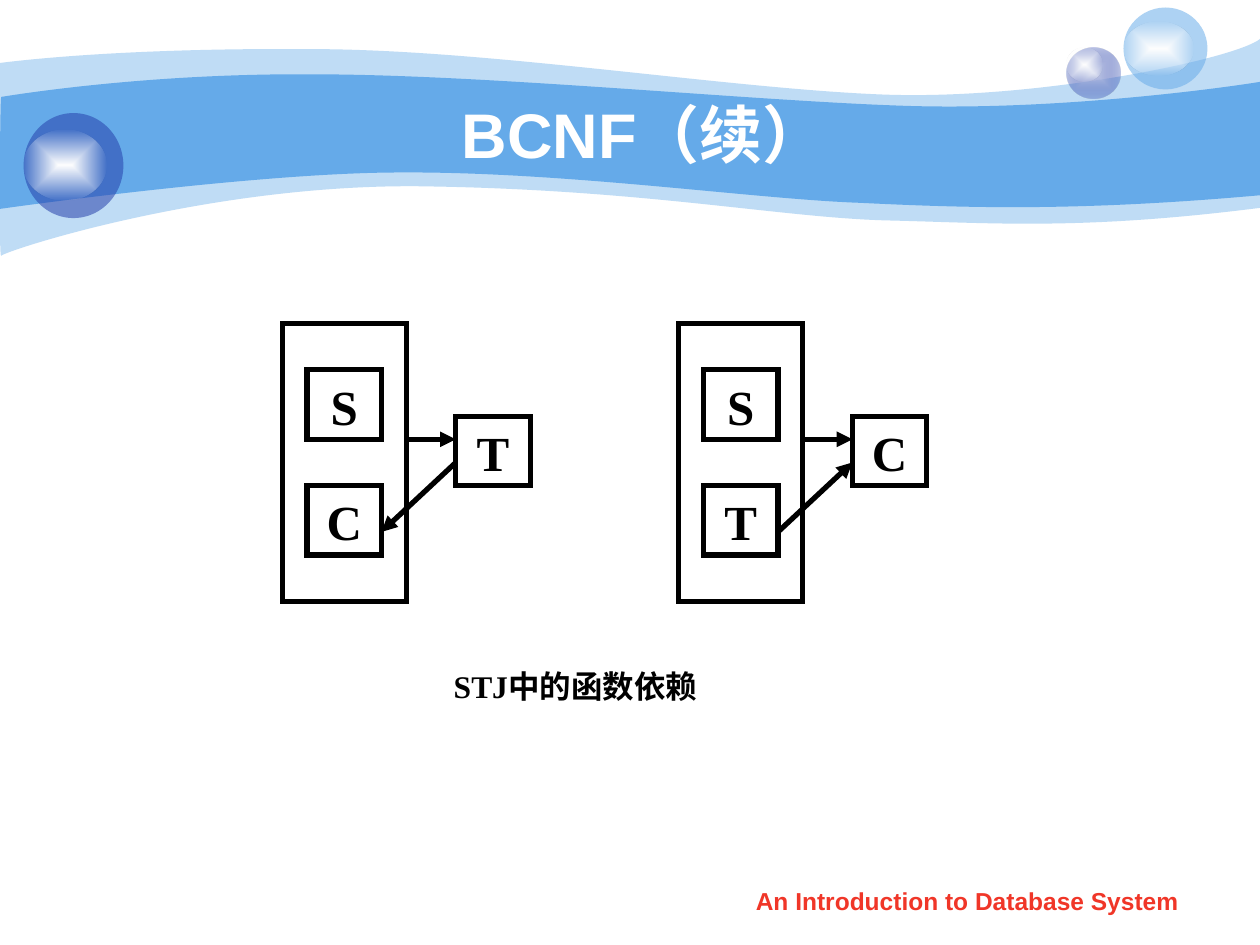
from lxml import etree
from pptx import Presentation
from pptx.dml.color import RGBColor
from pptx.enum import shapes, text
from pptx.oxml import ns, parse_xml
from pptx.util import Pt

TITLE = " BCNF（续）"
FOOTER = "An Introduction to Database System"
CAPTION = "STJ中的函数依赖"

# Waves: start, fill, opacity, then segments (one point: straight; three: Bezier curve)
WAVES = [
    ((0, 36), "65AAE9", 41, [
        [(17.3, 33.8), (77, 27.4), (177.8, 28.1)], [(277.9, 28.1), (414, 50.4), (503.3, 54)],
        [(591.8, 57.6), (705.6, 33.8), (720, 22.3)], [(720, 118.8)],
        [(617.8, 131.8), (566.6, 127.4), (507.6, 126)],
        [(447.8, 124.6), (370.8, 108.7), (247, 106.6)],
        [(123.8, 103.7), (2.9, 143.3), (0.7, 146.2)], [(-0.7, 149.8), (0, 54), (0, 36)]]),
    ((0.7, 55.4), "65AAE9", 100, [
        [(1.4, 55.4), (79.2, 41.8), (178.6, 42.5)], [(277.9, 42.5), (428.4, 57.6), (517, 60.5)],
        [(605.5, 63.4), (702.7, 49.7), (720, 46.8)], [(720, 111.6)],
        [(614.2, 121), (550.8, 118.8), (491, 115.9)],
        [(431.3, 113.8), (321.8, 97.9), (228.2, 98.6)],
        [(146.2, 98.6), (-1.4, 119.5), (-0.7, 119.5)], [(0, 119.5), (0, 55.4), (0.7, 55.4)]]),
]

# Balls: body box, body colour stops, highlight box
BALLS = [
    ((609.5, 27, 31, 29.2), [("C7CEE9", 100), ("233DA9", 31)], (609.5, 27, 20.5, 19.5)),
    ((642, 4.3, 48, 46.8), [("65AAE9", 53)], (642, 12.2, 40, 31)),
    ((13.5, 64.6, 57, 60), [("233DA9", 53)], (13.5, 74.3, 47.5, 40)),
]
HIGHLIGHT = [("FFFFFF", 100), ("FFFFFF", 0)]

# Diagrams on a grid: boxes (label, column, row) and arrows (from, to)
LEFT, TOP, COLUMN, ROW, DIAGRAM_STEP = 161.3, 184.9, 14.17, 13.23, 226.6
ACROSS, LOWER, RESULT = (5, 5), (4, 9), (7, 6)
DIAGRAMS = [
    ([("S", 1, 2), ("C", 1, 7), ("T", 7, 4)], [(ACROSS, (7, 5)), (RESULT, LOWER)]),
    ([("S", 1, 2), ("T", 1, 7), ("C", 7, 4)], [(ACROSS, (7, 5)), (LOWER, RESULT)]),
]


def color(value):
    return RGBColor.from_string(value)


def points(values):
    return [Pt(value) for value in values]


def paint(shape, stops):
    """Fill with one (colour, opacity) stop, or a centred gradient of several; no outline."""
    colors = [f'<a:srgbClr val="{value}"><a:alpha val="{opacity * 1000}"/></a:srgbClr>'
              for value, opacity in stops]
    if len(stops) == 1:
        xml = f"<a:solidFill {ns.nsdecls('a')}>{colors[0]}</a:solidFill>"
    else:
        marks = "".join(f'<a:gs pos="{index * 100000 // (len(stops) - 1)}">{item}</a:gs>'
                        for index, item in enumerate(colors))
        xml = (f'<a:gradFill {ns.nsdecls("a")}><a:gsLst>{marks}</a:gsLst><a:path path="rect">'
               '<a:fillToRect l="50000" t="50000" r="50000" b="50000"/></a:path></a:gradFill>')
    shape.fill.background()
    properties = shape._element.spPr
    properties.replace(properties.find(ns.qn("a:noFill")), parse_xml(xml))
    shape.line.fill.background()
    shape.shadow.inherit = False


def add_wave(parent, start, fill, opacity, segments):
    """Draw all points as a polygon, then merge each three of a curve into one Bezier."""
    builder = parent.build_freeform(*points(start))
    builder.add_line_segments([points(point) for segment in segments for point in segment])
    wave = builder.convert_to_shape()
    lines = iter(list(wave._element.spPr.iter(ns.qn("a:lnTo"))))
    for segment in segments:
        first, *others = [next(lines) for _ in segment]
        if others:
            first.tag = ns.qn("a:cubicBezTo")
        for line in others:
            first.append(line[0])
            line.getparent().remove(line)
    etree.SubElement(next(wave._element.spPr.iter(ns.qn("a:moveTo"))).getparent(),
                     ns.qn("a:close"))
    paint(wave, [(fill, opacity)])


def write(shape, content, size, font, fill):
    frame = shape.text_frame
    frame.word_wrap = True
    frame.auto_size = text.MSO_AUTO_SIZE.NONE
    paragraph = frame.paragraphs[0]
    paragraph.alignment = text.PP_ALIGN.CENTER
    run = paragraph.add_run()
    run.text = content
    run.font.size, run.font.name, run.font.bold = Pt(size), font, True
    run.font.color.rgb = color(fill)
    return frame


def add_cell(parent, left, top, columns, rows, label=None):
    box = (left, top, columns * COLUMN, rows * ROW)
    shape = parent.add_shape(shapes.MSO_SHAPE.RECTANGLE, *points(box))
    shape.fill.background()
    shape.line.color.rgb = color("000000")
    shape.line.width = Pt(3)
    shape.line._get_or_add_ln().append(
        parse_xml(f'<a:miter {ns.nsdecls("a")} lim="800000"/>'))
    shape.shadow.inherit = False
    if label:
        frame = write(shape, label, 28, "Times New Roman", "000000")
        frame.vertical_anchor = text.MSO_ANCHOR.TOP


def add_arrow(parent, start, end):
    arrow = parent.add_connector(shapes.MSO_CONNECTOR.STRAIGHT, *points((*start, *end)))
    arrow.line.color.rgb = color("000000")
    arrow.line.width = Pt(3)
    arrow.line._get_or_add_ln().append(
        parse_xml(f'<a:tailEnd {ns.nsdecls("a")} type="triangle"/>'))
    arrow._element.spPr.append(parse_xml(f'<a:effectLst {ns.nsdecls("a")}/>'))


def add_diagram(parent, left, boxes, arrows):
    def place(column, row):
        return left + column * COLUMN, TOP + row * ROW

    add_cell(parent, left, TOP, 5, 12)
    for label, column, row in boxes:
        add_cell(parent, *place(column, row), 3, 3, label)
    for start, end in arrows:
        add_arrow(parent, place(*start), place(*end))


def main():
    presentation = Presentation()
    presentation.slide_width, presentation.slide_height = Pt(720), Pt(540)
    slide = presentation.slides.add_slide(presentation.slide_layouts[5])

    for wave in WAVES:
        add_wave(slide.shapes, *wave)
    for body, stops, highlight in BALLS:
        ball = slide.shapes.add_group_shape().shapes
        for box, fill in ((body, stops), (highlight, HIGHLIGHT)):
            paint(ball.add_shape(shapes.MSO_SHAPE.OVAL, *points(box)), fill)

    footer = slide.shapes.add_textbox(*points((410.8, 502.5, 284, 25)))
    write(footer, FOOTER, 14, "Arial", "F03628")

    title = slide.shapes.title
    title.left, title.top, title.width, title.height = points((72, 54, 582, 44.6))
    frame = write(title, TITLE, 36, "Arial", "FFFFFF")
    frame.vertical_anchor = text.MSO_ANCHOR.MIDDLE
    slide.shapes._spTree.append(title._element)  # in front of the waves

    figure = slide.shapes.add_group_shape().shapes
    for index, (boxes, arrows) in enumerate(DIAGRAMS):
        add_diagram(figure, LEFT + index * DIAGRAM_STEP, boxes, arrows)
    caption = figure.add_textbox(*points((246.8, 377.6, 164, 39.6)))
    write(caption, CAPTION, 18, "Times New Roman", "000000")

    presentation.save("out.pptx")


if __name__ == "__main__":
    main()
